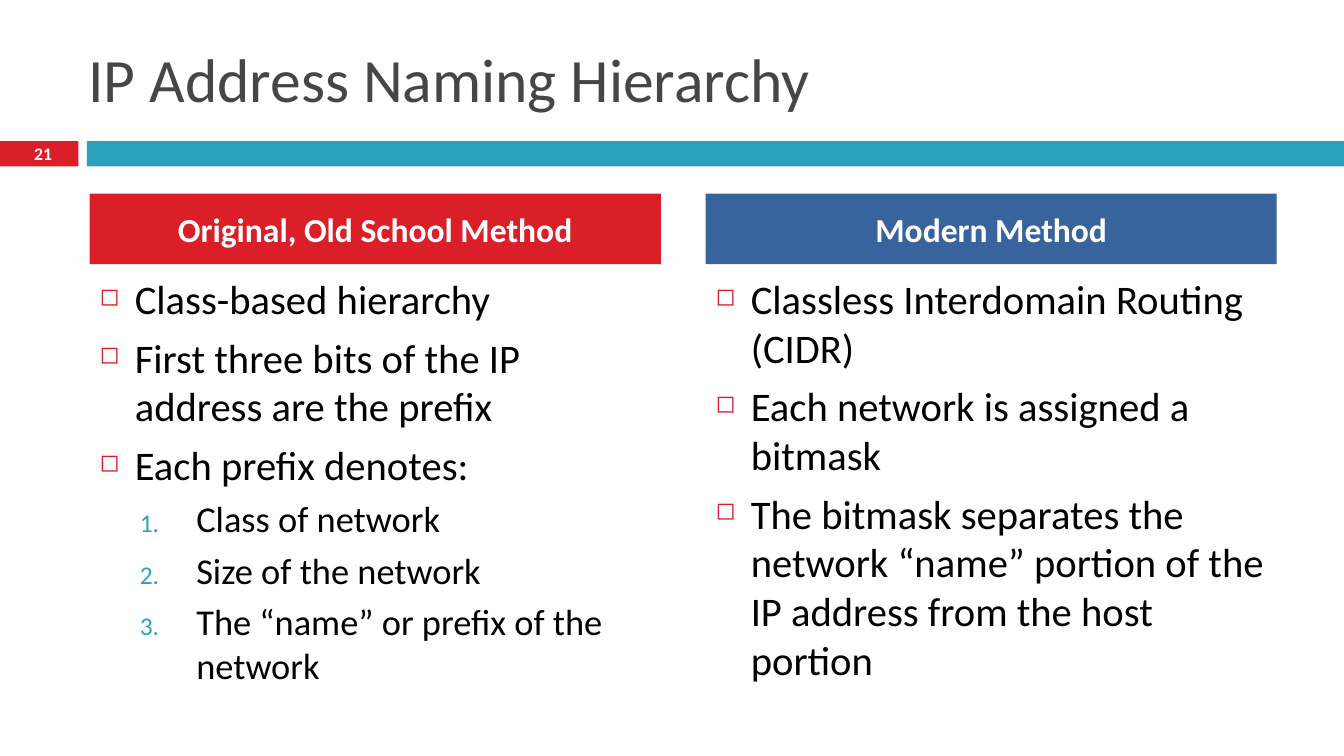
from dataclasses import dataclass

from lxml.etree import SubElement
from pptx import Presentation
from pptx.dml.color import RGBColor
from pptx.enum.shapes import MSO_SHAPE
from pptx.enum.text import MSO_ANCHOR as Anchor, PP_ALIGN as Align
from pptx.oxml.ns import qn
from pptx.shapes.autoshape import Shape
from pptx.slide import Slide
from pptx.util import Pt


@dataclass(frozen=True)
class Theme:
    font: str = "Calibri"
    red: str = "DA1F28"
    teal: str = "2DA2BF"
    blue: str = "39639D"
    title_color: str = "464646"
    body_color: str = "000000"
    white: str = "FFFFFF"
    title_size: float = 44
    heading_size: float = 24
    number_size: float = 12.6


@dataclass(frozen=True)
class Box:
    left: float
    top: float
    width: float
    height: float

    def lengths(self) -> tuple[Pt, Pt, Pt, Pt]:
        return Pt(self.left), Pt(self.top), Pt(self.width), Pt(self.height)


@dataclass(frozen=True)
class ListStyle:
    level: int
    size: float
    space_before: float
    margin: float
    hanging: float
    marker_color: str
    marker_percent: int
    marker_tag: str
    marker: dict[str, str]


@dataclass(frozen=True)
class TextStyle:
    size: float
    color: str
    bold: bool = False
    align: Align = Align.LEFT


@dataclass(frozen=True)
class Item:
    text: str
    style: ListStyle


@dataclass(frozen=True)
class Column:
    left: float
    heading: str
    fill: str
    items: list[Item]


THEME = Theme()
BULLET = ListStyle(0, 29, 7, 25.2, 25.2, THEME.red, 60, "a:buChar", {"char": "◻"})
NUMBER = ListStyle(1, 26, 5.5, 69.12, 40.32, THEME.teal, 70,
                   "a:buAutoNum", {"type": "arabicPeriod"})
TITLE = TextStyle(THEME.title_size, THEME.title_color)
HEADING = TextStyle(THEME.heading_size, THEME.white, True, Align.CENTER)
PAGE_NUMBER = TextStyle(THEME.number_size, THEME.white, True, Align.CENTER)

COLUMN_WIDTH = 408
COLUMNS = [
    Column(64, "Original, Old School Method", THEME.red, [
        Item("Class-based hierarchy", BULLET),
        Item("First three bits of the IP address are the prefix", BULLET),
        Item("Each prefix denotes:", BULLET),
        Item("Class of network", NUMBER),
        Item("Size of the network", NUMBER),
        Item("The “name” or prefix of the network", NUMBER),
    ]),
    Column(504, "Modern Method", THEME.blue, [
        Item("Classless Interdomain Routing (CIDR)", BULLET),
        Item("Each network is assigned a bitmask", BULLET),
        Item("The bitmask separates the network “name” portion of the IP address "
             "from the host portion", BULLET),
    ]),
]


def add_bar(slide: Slide, box: Box, color: str) -> Shape:
    shape = slide.shapes.add_shape(MSO_SHAPE.RECTANGLE, *box.lengths())
    shape.shadow.inherit = False
    shape.fill.solid()
    shape.fill.fore_color.rgb = RGBColor.from_string(color)
    shape.line.fill.background()
    return shape


def add_text_box(slide: Slide, box: Box) -> Shape:
    shape = slide.shapes.add_textbox(*box.lengths())
    shape.text_frame.word_wrap = True
    return shape


def write_line(shape: Shape, text: str, style: TextStyle) -> None:
    shape.text_frame.vertical_anchor = Anchor.MIDDLE
    paragraph = shape.text_frame.paragraphs[0]
    paragraph.text = text
    paragraph.alignment = style.align
    paragraph.font.name = THEME.font
    paragraph.font.size = Pt(style.size)
    paragraph.font.bold = style.bold
    paragraph.font.color.rgb = RGBColor.from_string(style.color)


def write_list(shape: Shape, items: list[Item]) -> None:
    frame = shape.text_frame
    for index, item in enumerate(items):
        style = item.style
        paragraph = frame.add_paragraph() if index else frame.paragraphs[0]
        paragraph.text = item.text
        paragraph.level = style.level
        paragraph.space_before = Pt(style.space_before)

        # Marker and hanging indent
        properties = paragraph._p.get_or_add_pPr()
        properties.set("marL", str(Pt(style.margin)))
        properties.set("indent", str(-Pt(style.hanging)))
        color = SubElement(properties, qn("a:buClr"))
        SubElement(color, qn("a:srgbClr"), val=style.marker_color)
        SubElement(properties, qn("a:buSzPct"), val=str(style.marker_percent * 1000))
        SubElement(properties, qn(style.marker_tag), style.marker)

        paragraph.font.name = THEME.font
        paragraph.font.size = Pt(style.size)
        paragraph.font.color.rgb = RGBColor.from_string(THEME.body_color)


def add_column(slide: Slide, column: Column) -> None:
    heading = add_bar(slide, Box(column.left, 138.24, COLUMN_WIDTH, 50.4), column.fill)
    write_line(heading, column.heading, HEADING)
    body = add_text_box(slide, Box(column.left, 192.24, COLUMN_WIDTH, 282.24))
    write_list(body, column.items)


def main() -> None:
    presentation = Presentation()
    presentation.slide_width, presentation.slide_height = Pt(960), Pt(540)
    slide = presentation.slides.add_slide(presentation.slide_layouts[6])

    # Divider band with the page number
    add_bar(slide, Box(0, 100.8, 56, 18), THEME.red)
    add_bar(slide, Box(62, 100.8, 898, 18), THEME.teal)
    write_line(add_text_box(slide, Box(-0.5, 99.4, 62.5, 20.8)), "21", PAGE_NUMBER)

    # Title
    title = add_text_box(slide, Box(56, 21.6, 856, 68.4))
    write_line(title, "IP Address Naming Hierarchy", TITLE)

    # Compared methods
    for column in COLUMNS:
        add_column(slide, column)

    presentation.save("out.pptx")


if __name__ == "__main__":
    main()
